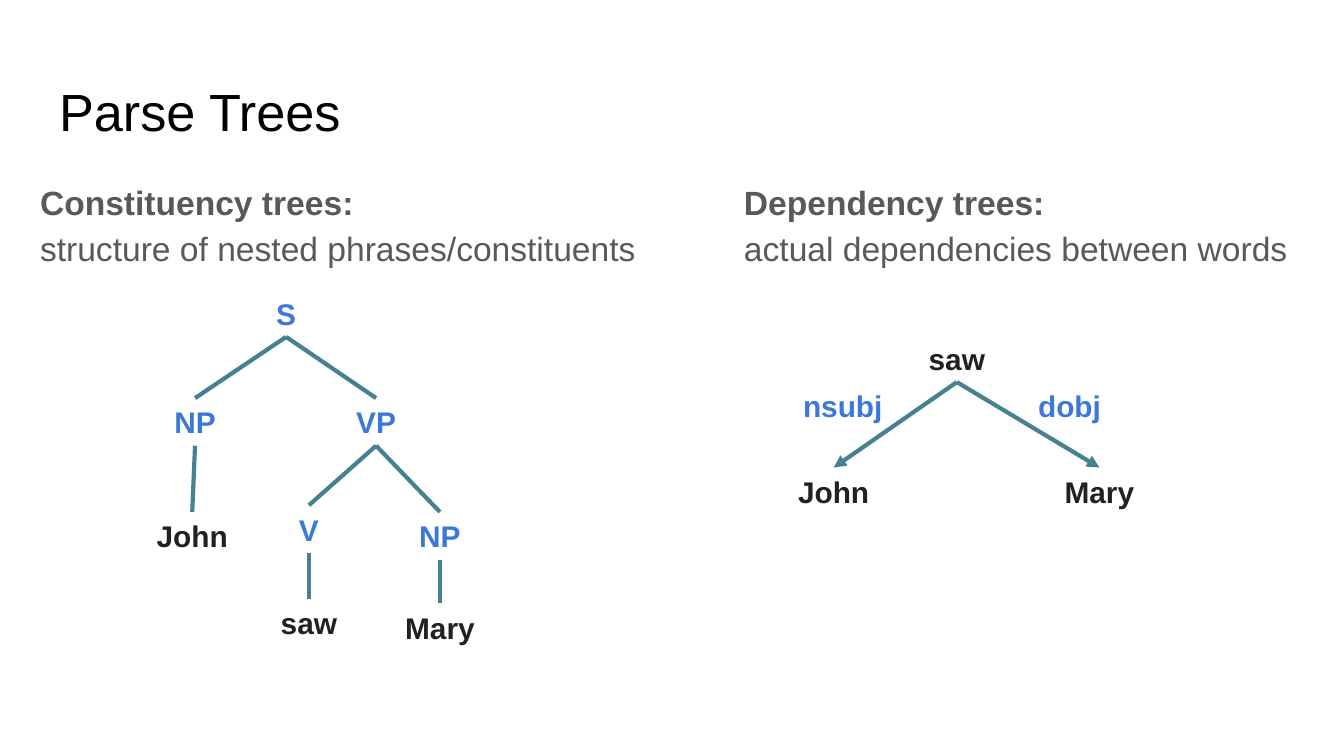
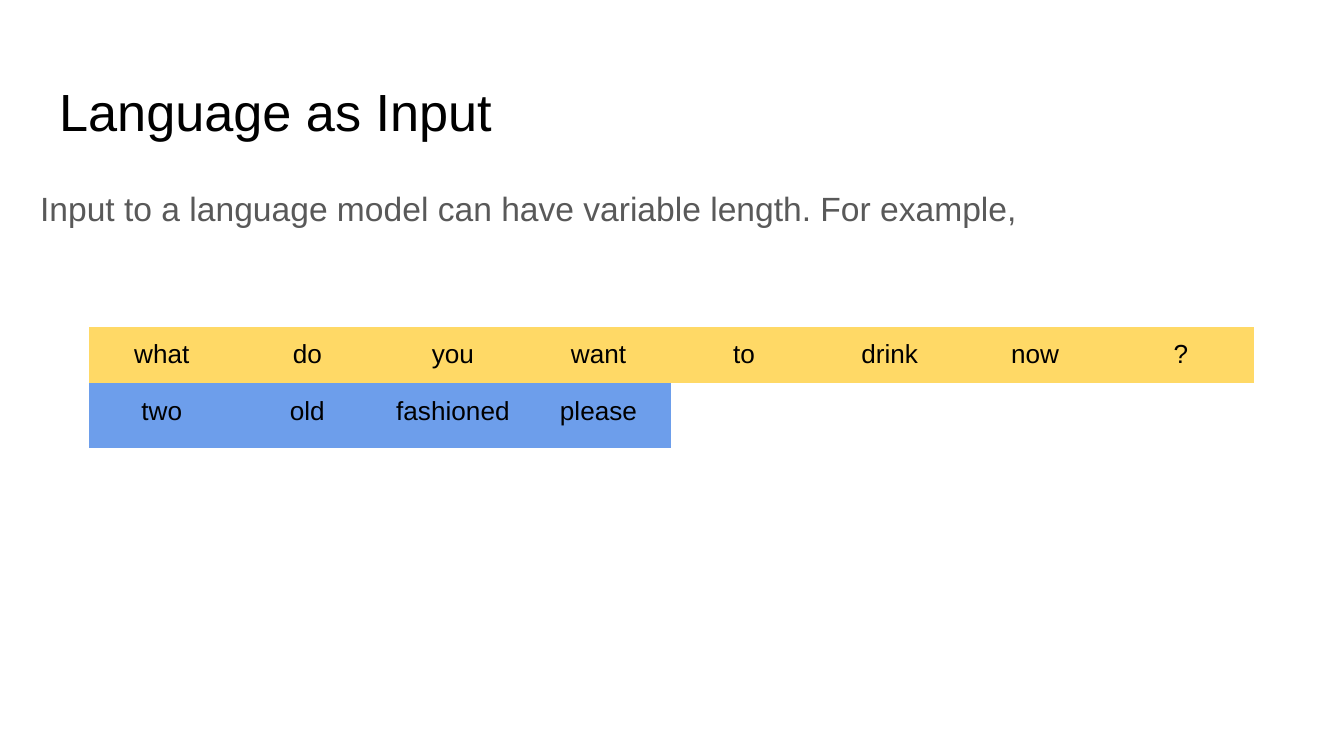
from lxml import etree
from pptx import Presentation
from pptx.dml.color import RGBColor
from pptx.enum.shapes import MSO_CONNECTOR
from pptx.enum.text import MSO_ANCHOR, MSO_AUTO_SIZE, PP_ALIGN
from pptx.oxml.ns import qn
from pptx.util import Pt

BLACK = RGBColor(0x00, 0x00, 0x00)
GRAY = RGBColor(0x59, 0x59, 0x59)
DARK = RGBColor(0x21, 0x21, 0x21)
BLUE = RGBColor(0x3C, 0x78, 0xD8)
TEAL = RGBColor(0x45, 0x81, 0x8E)
YELLOW = RGBColor(0xFF, 0xD9, 0x66)
LIGHT_BLUE = RGBColor(0x6D, 0x9E, 0xEB)

STRAIGHT = MSO_CONNECTOR.STRAIGHT
TOP, MIDDLE = MSO_ANCHOR.TOP, MSO_ANCHOR.MIDDLE
LEFT, CENTER = PP_ALIGN.LEFT, PP_ALIGN.CENTER
NO_AUTOFIT = MSO_AUTO_SIZE.NONE

FONT = "Arial"
INSET = 7.2
NODE_W, NODE_H = 66, 25.5
COL_W = 78
TITLE_ONLY = 5
PLAIN_TABLE = "{2D5ABB26-0587-4C30-8999-92F81FD0307C}"


def style(p, size, color, bold=False, align=LEFT):
    p.alignment = align
    p.font.name = FONT
    p.font.size = Pt(size)
    p.font.color.rgb = color
    p.font.bold = bold


def set_frame(tf, anchor):
    tf.word_wrap = True
    tf.auto_size = NO_AUTOFIT
    tf.vertical_anchor = anchor
    tf.margin_left = tf.margin_right = Pt(INSET)
    tf.margin_top = tf.margin_bottom = Pt(INSET)


def add_slide(prs, title):
    slide = prs.slides.add_slide(prs.slide_layouts[TITLE_ONLY])
    sp = slide.shapes.title
    sp.left, sp.top, sp.width, sp.height = Pt(24.5), Pt(35), Pt(671), Pt(45)
    set_frame(sp.text_frame, TOP)
    sp.text_frame.text = title
    style(sp.text_frame.paragraphs[0], 28, BLACK)
    return slide


def add_box(slide, x, y, w, h, anchor=TOP):
    tf = slide.shapes.add_textbox(Pt(x), Pt(y), Pt(w), Pt(h)).text_frame
    set_frame(tf, anchor)
    return tf.paragraphs[0]


def add_body(slide, x, y, w, h, text, heading=None):
    p = add_box(slide, x, y, w, h)
    p.line_spacing = 1.15
    style(p, 18, GRAY)
    if heading:
        r = p.add_run()
        r.text = heading
        r.font.bold = True
        p.add_line_break()
    p.add_run().text = text


def add_label(slide, text, x, y, color):
    p = add_box(slide, x - NODE_W / 2, y, NODE_W, NODE_H, MIDDLE)
    p.text = text
    style(p, 16, color, True, CENTER)


def add_edge(slide, parent, child, arrow):
    (x1, y1), (x2, y2) = parent, child
    line = slide.shapes.add_connector(
        STRAIGHT, Pt(x1), Pt(y1 + NODE_H), Pt(x2), Pt(y2))
    line.line.color.rgb = TEAL
    line.line.width = Pt(2.25)
    if arrow:
        ln = line.line._get_or_add_ln()
        etree.SubElement(ln, qn("a:tailEnd"), type="triangle")
    etree.SubElement(line._element.spPr, qn("a:effectLst"))


def add_tree(slide, nodes, edges, arrow=False):
    for parent, child in edges:
        add_edge(slide, nodes[parent][1:3], nodes[child][1:3], arrow)
    for text, x, y, color in nodes.values():
        add_label(slide, text, x, y, color)


def add_token_table(slide, x, y, rows, heights):
    cols = max(len(words) for words, _ in rows)
    frame = slide.shapes.add_table(
        len(rows), cols, Pt(x), Pt(y), Pt(cols * COL_W), Pt(sum(heights)))
    table = frame.table
    table.first_row = table.horz_banding = False
    table._tbl.tblPr.find(qn("a:tableStyleId")).text = PLAIN_TABLE
    for col in table.columns:
        col.width = Pt(COL_W)
    for i, (words, fill) in enumerate(rows):
        table.rows[i].height = Pt(heights[i])
        for j in range(cols):
            cell = table.cell(i, j)
            if j >= len(words):
                cell.fill.background()
                continue
            cell.margin_left = cell.margin_right = Pt(INSET)
            cell.margin_top = cell.margin_bottom = Pt(INSET)
            cell.fill.solid()
            cell.fill.fore_color.rgb = fill
            cell.text = words[j]
            style(cell.text_frame.paragraphs[0], 14, BLACK, align=CENTER)


def build_parse_trees(prs):
    slide = add_slide(prs, "Parse Trees")
    add_body(slide, 14.4, 87, 345.6, 62.6,
             "structure of nested phrases/constituents", "Constituency trees:")
    add_body(slide, 391.5, 87, 327, 62.6,
             "actual dependencies between words", "Dependency trees:")

    constituency = {
        "s": ("S", 153.3, 155, BLUE),
        "subject": ("NP", 104.5, 213.3, BLUE),
        "vp": ("VP", 201.5, 213.3, BLUE),
        "john": ("John", 103, 274.3, DARK),
        "v": ("V", 165.5, 270.7, BLUE),
        "object": ("NP", 235.7, 274.3, BLUE),
        "saw": ("saw", 165.5, 321, DARK),
        "mary": ("Mary", 235.7, 323.2, DARK),
    }
    add_tree(slide, constituency, [
        ("s", "subject"), ("s", "vp"), ("subject", "john"), ("vp", "v"),
        ("vp", "object"), ("v", "saw"), ("object", "mary")])

    dependency = {
        "saw": ("saw", 512.6, 179.2, DARK),
        "john": ("John", 446.6, 250.5, DARK),
        "mary": ("Mary", 589, 250.5, DARK),
    }
    add_tree(slide, dependency, [("saw", "john"), ("saw", "mary")], arrow=True)
    add_label(slide, "nsubj", 451.5, 204.5, BLUE)
    add_label(slide, "dobj", 573, 204.5, BLUE)


def build_language_input(prs):
    slide = add_slide(prs, "Language as Input")
    add_body(slide, 14.4, 90, 691, 40.5,
             "Input to a language model can have variable length. For example,")
    add_token_table(slide, 47.7, 175, [
        (["what", "do", "you", "want", "to", "drink", "now", "?"], YELLOW),
        (["two", "old", "fashioned", "please"], LIGHT_BLUE),
    ], [30, 35])


def main():
    prs = Presentation()
    prs.slide_width, prs.slide_height = Pt(720), Pt(405)
    build_parse_trees(prs)
    build_language_input(prs)
    prs.save("out.pptx")


if __name__ == "__main__":
    main()
